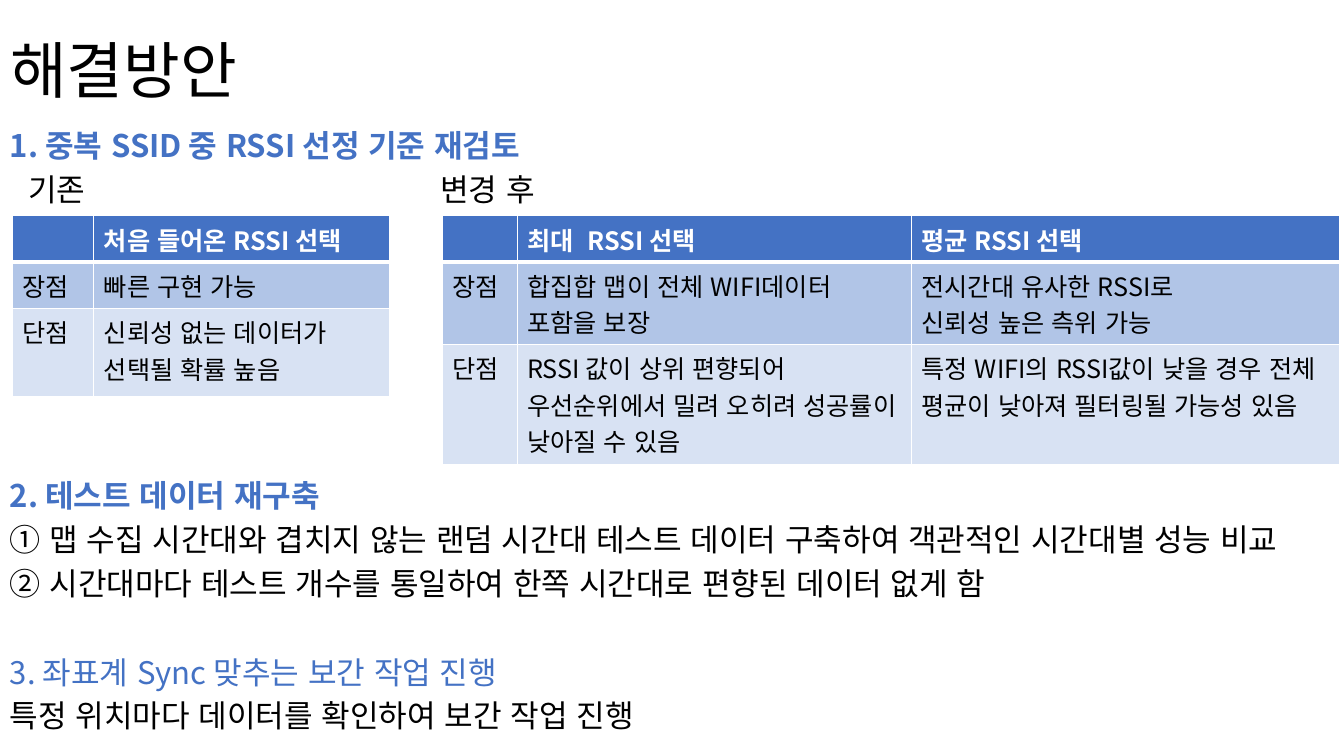
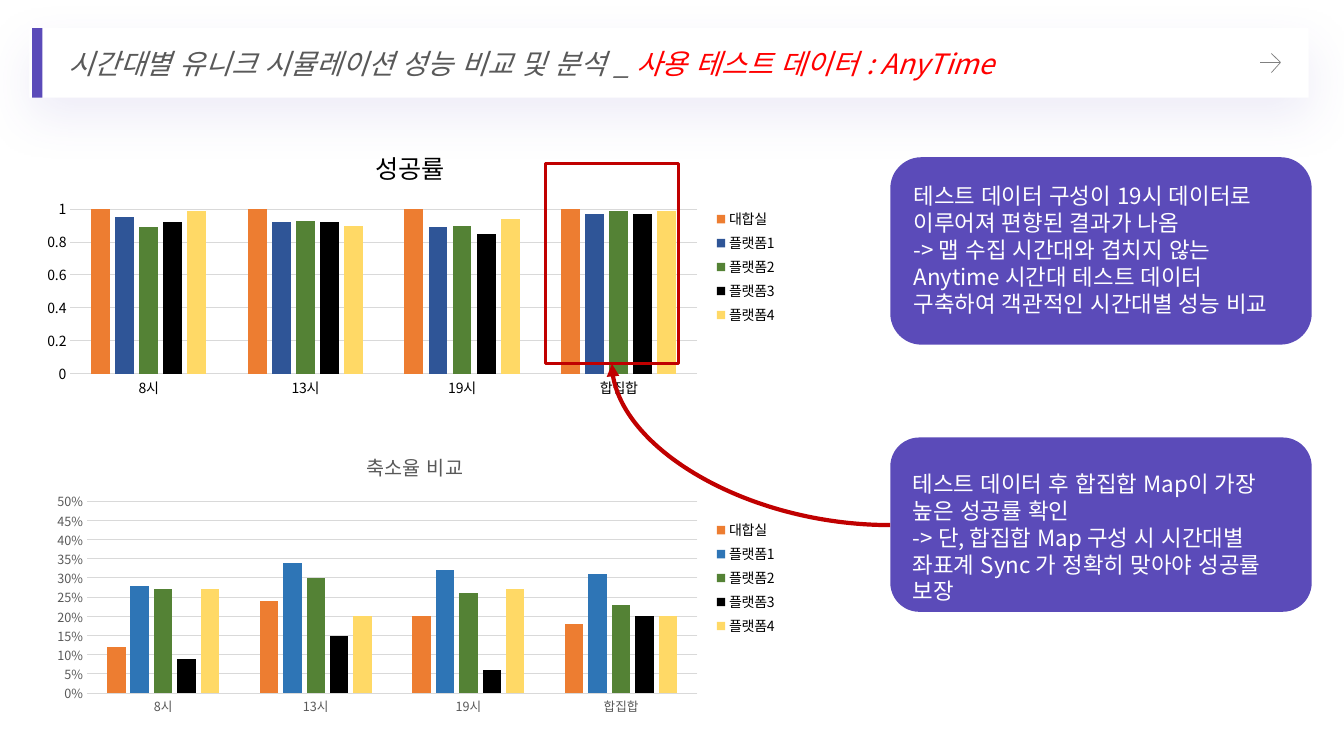
from lxml import etree
from pptx import Presentation
from pptx.chart.data import CategoryChartData
from pptx.dml.color import RGBColor
from pptx.enum.chart import XL_CHART_TYPE, XL_LEGEND_POSITION, XL_TICK_MARK
from pptx.enum.lang import MSO_LANGUAGE_ID
from pptx.enum.shapes import MSO_CONNECTOR, MSO_SHAPE
from pptx.enum.text import MSO_ANCHOR, MSO_AUTO_SIZE, PP_ALIGN
from pptx.oxml import parse_xml
from pptx.oxml.ns import nsdecls, qn
from pptx.util import Inches, Pt

FONT = "Noto Sans CJK KR"
HUE = {
    "black": "000000", "white": "FFFFFF", "blue": "4472C4",
    "mid": "B1C5E7", "pale": "D8E2F3", "violet": "5B4BB9",
    "grey": "595959", "arrow": "808080", "grid": "D9D9D9",
    "red": "FF0000", "mark": "C00000", "orange": "ED7D31",
    "navy": "2F5597", "sky": "2E75B6", "green": "548235", "gold": "FFD966",
}


def write(frame, text, size=18, color="black", bold=False, italic=False,
          space=1.0, gap=0, join=False):
    """Add a paragraph, or with join a run to the last one."""
    para = frame.paragraphs[-1]
    if para.runs and not join:
        para = frame.add_paragraph()
    para.alignment = PP_ALIGN.LEFT
    para.line_spacing = space
    para.space_before = Pt(gap)
    run = para.add_run()
    run.text = text
    font = run.font
    font.name, font.size, font.bold, font.italic = FONT, Pt(size), bold, italic
    font.language_id = MSO_LANGUAGE_ID.KOREAN
    font.color.rgb = RGBColor.from_string(HUE[color])


def paint(shape, fill=None, line=None, width=1):
    """Set fill and outline, and drop the shadow."""
    shape.shadow.inherit = False
    if fill:
        shape.fill.solid()
        shape.fill.fore_color.rgb = RGBColor.from_string(HUE[fill])
    else:
        shape.fill.background()
    if line:
        shape.line.color.rgb = RGBColor.from_string(HUE[line])
        shape.line.width = Pt(width)
    else:
        shape.line.fill.background()


deck = Presentation()
deck.slide_width, deck.slide_height = Inches(13.33), Inches(7.5)

# Both slides with their titles in place
slides = []
for left, top, wide, high in [(0, 0, 11.5, 1.45), (0.29, 0.28, 12.69, 0.69)]:
    slide = deck.slides.add_slide(deck.slide_layouts[5])
    title = slide.shapes.title
    title.left, title.top = Inches(left), Inches(top)
    title.width, title.height = Inches(wide), Inches(high)
    title.text_frame.auto_size = MSO_AUTO_SIZE.NONE
    title.text_frame.vertical_anchor = MSO_ANCHOR.MIDDLE
    slides.append(slide)

# Slide 1: title and text blocks
plan = slides[0].shapes
write(plan.title.text_frame, "해결방안", size=44, space=0.9)

blocks = [
    (0, 1.28, 13.33, "1. 중복 SSID 중 RSSI 선정 기준 재검토", "blue", True, []),
    (0.18, 1.71, 3, "기존", "black", False, []),
    (4.27, 1.71, 3, "변경 후", "black", False, []),
    (0, 4.75, 13.33, "2. 테스트 데이터 재구축", "blue", True, [
        "① 맵 수집 시간대와 겹치지 않는 랜덤 시간대 테스트 데이터 구축하여 객관적인 시간대별 성능 비교",
        "② 시간대마다 테스트 개수를 통일하여 한쪽 시간대로 편향된 데이터 없게 함"]),
    (0, 6.5, 13.33, "3. 좌표계 Sync 맞추는 보간 작업 진행", "blue", False, [
        "특정 위치마다 데이터를 확인하여 보간 작업 진행"]),
]
for left, top, wide, head, color, bold, lines in blocks:
    box = plan.add_textbox(Inches(left), Inches(top), Inches(wide),
                           Inches(0.45 + 0.43 * len(lines)))
    frame = box.text_frame
    frame.word_wrap = True
    write(frame, head, size=22.2, color=color, bold=bold, space=0.8)
    for line in lines:
        write(frame, line, size=22.2, space=0.8, gap=10)

# Slide 1: tables of pros and cons
tables = [
    (4.39, [0.74, 3.91, 4.25], [0.46, 0.82, 1.19], [
        ["", "최대  RSSI 선택", "평균 RSSI 선택"],
        ["장점", "합집합 맵이 전체 WIFI데이터 포함을 보장",
         "전시간대 유사한 RSSI로\n신뢰성 높은 측위 가능"],
        ["단점", "RSSI 값이 상위 편향되어\n우선순위에서 밀려 오히려 성공률이 낮아질 수 있음",
         "특정 WIFI의 RSSI값이 낮을 경우 전체 평균이 낮아져 필터링될 가능성 있음"]]),
    (0.12, [0.81, 2.93], [0.46, 0.46, 0.87], [
        ["", "처음 들어온 RSSI 선택"],
        ["장점", "빠른 구현 가능"],
        ["단점", "신뢰성 없는 데이터가 선택될 확률 높음"]]),
]
for left, cols, rows, data in tables:
    table = plan.add_table(len(rows), len(cols), Inches(left), Inches(2.14),
                           Inches(sum(cols)), Inches(sum(rows))).table
    for col, wide in zip(table.columns, cols):
        col.width = Inches(wide)
    for r, (high, texts) in enumerate(zip(rows, data)):
        table.rows[r].height = Inches(high)
        for c, text in enumerate(texts):
            cell = table.cell(r, c)
            props = cell._tc.get_or_add_tcPr()
            for side in "LRTB":
                thick = (side, r) in [("B", 0), ("T", 1)]
                edge = etree.SubElement(props, qn("a:ln" + side),
                                        w=str(Pt(3 if thick else 1)))
                fill = etree.SubElement(edge, qn("a:solidFill"))
                etree.SubElement(fill, qn("a:srgbClr"), val=HUE["white"])
            cell.fill.solid()
            cell.fill.fore_color.rgb = RGBColor.from_string(
                HUE[["blue", "mid", "pale"][r]])
            for line in text.split("\n"):
                if line:
                    write(cell.text_frame, line, bold=r == 0,
                          color="black" if r else "white")

# Slide 2: title bar with a soft shadow
study = slides[1].shapes
bar = study.title
paint(bar, "white")
glow = bar.element.spPr.find(qn("a:effectLst"))
glow.append(parse_xml(
    f'<a:outerShdw {nsdecls("a")} blurRad="{Pt(35)}" dist="{Pt(13)}" '
    f'dir="5400000" algn="t" rotWithShape="0"><a:srgbClr val="{HUE["violet"]}">'
    '<a:alpha val="10000"/></a:srgbClr></a:outerShdw>'))
bar.text_frame.margin_left = Inches(0.39)
write(bar.text_frame, "시간대별 유니크 시뮬레이션 성능 비교 및 분석 _ ",
      size=20, color="grey", italic=True)
write(bar.text_frame, "사용 테스트 데이터 : AnyTime",
      size=20, color="red", italic=True, join=True)
strip = study.add_shape(MSO_SHAPE.RECTANGLE, Inches(0.32), Inches(0.28),
                        Inches(0.1), Inches(0.69))
paint(strip, "violet")

# Slide 2: small arrow in the bar
pen = study.build_freeform(Inches(12.61), Inches(0.53))
pen.add_line_segments([(Inches(12.7), Inches(0.62)),
                       (Inches(12.61), Inches(0.72))], close=False)
paint(pen.convert_to_shape(), line="arrow", width=0.5)
shaft = study.add_connector(MSO_CONNECTOR.STRAIGHT, Inches(12.5), Inches(0.62),
                            Inches(12.7), Inches(0.62))

# Slide 2: column charts
names = ["대합실", "플랫폼1", "플랫폼2", "플랫폼3", "플랫폼4"]
charts = [
    ((0.32, 1.3, 7.49, 2.7), "성공률", 18, 10, "black", 1, 0.2, "General", "navy",
     [[87, 85, 94, 95], [0.95, 0.92, 0.89, 0.97], [0.89, 0.93, 0.9, 0.99],
      [0.92, 0.92, 0.85, 0.97], [0.99, 0.9, 0.94, 0.99]]),
    ((0.42, 4.32, 7.39, 2.83), "축소율 비교", 14, 9, "grey", 0.5, 0.05, "0%", "sky",
     [[0.12, 0.24, 0.2, 0.18], [0.28, 0.34, 0.32, 0.31], [0.27, 0.3, 0.26, 0.23],
      [0.09, 0.15, 0.06, 0.2], [0.27, 0.2, 0.27, 0.2]]),
]
roots = [slide.element for slide in slides]
for place, head, big, small, color, peak, step, form, second, rows in charts:
    data = CategoryChartData(number_format=form)
    data.categories = ["8시", "13시", "19시", "합집합"]
    for name, vals in zip(names, rows):
        data.add_series(name, vals)
    chart = study.add_chart(XL_CHART_TYPE.COLUMN_CLUSTERED,
                            *[Inches(n) for n in place], data).chart
    roots.append(chart.element)
    chart.font.name, chart.font.size = FONT, Pt(10)
    chart.font.color.rgb = RGBColor.from_string(HUE["black"])
    write(chart.chart_title.text_frame, head, size=big, color=color)
    chart.chart_title.include_in_layout = False
    chart.has_legend = True
    chart.legend.position = XL_LEGEND_POSITION.RIGHT
    chart.legend.include_in_layout = False

    plot = chart.plots[0]
    plot.gap_width, plot.overlap, plot.vary_by_categories = 219, -27, False
    for bars, hue in zip(plot.series, ["orange", second, "green", "black", "gold"]):
        bars.format.fill.solid()
        bars.format.fill.fore_color.rgb = RGBColor.from_string(HUE[hue])

    cat, val = chart.category_axis, chart.value_axis
    for axis in (cat, val):
        axis.major_tick_mark = axis.minor_tick_mark = XL_TICK_MARK.NONE
        font = axis.tick_labels.font
        font.name, font.size = FONT, Pt(small)
        font.color.rgb = RGBColor.from_string(HUE[color])
    val.minimum_scale, val.maximum_scale, val.major_unit = 0, peak, step
    val.tick_labels.number_format = form
    val.tick_labels.number_format_is_linked = False
    val.format.line.fill.background()
    for line in (cat.format.line, val.major_gridlines.format.line):
        line.color.rgb = RGBColor.from_string(HUE["grid"])
        line.width = Pt(0.75)

# Slide 2: note cards
cards = [
    (1.56, 1.86, 0.16, 0.2, [
        "테스트 데이터 구성이 19시 데이터로 이루어져 편향된 결과가 나옴",
        "-> 맵 수집 시간대와 겹치지 않는 Anytime 시간대 테스트 데이터 구축하여 객관적인 시간대별 성능 비교"]),
    (4.34, 1.73, 0.24, 0.15, [
        "테스트 데이터 후 합집합 Map이 가장 높은 성공률 확인",
        "-> 단, 합집합 Map 구성 시 시간대별 좌표계 Sync 가 정확히 맞아야 성공률 보장"]),
]
for top, high, above, right, lines in cards:
    card = study.add_shape(MSO_SHAPE.ROUNDED_RECTANGLE, Inches(8.83), Inches(top),
                           Inches(4.18), Inches(high))
    paint(card, "violet")
    frame = card.text_frame
    frame.word_wrap = True
    frame.vertical_anchor = MSO_ANCHOR.TOP
    frame.margin_left, frame.margin_right = Inches(0.14), Inches(right)
    frame.margin_top, frame.margin_bottom = Inches(above), 0
    for line in lines:
        write(frame, line, size=16, color="white")

# Slide 2: curved arrow to the marked columns
curve = study.add_connector(MSO_CONNECTOR.CURVE, Inches(8.83), Inches(5.21),
                            Inches(6.07), Inches(3.61))
curve.element.spPr.find(qn("a:prstGeom")).set("prst", "curvedConnector2")
for link, hue, width in [(shaft, "arrow", 0.5), (curve, "mark", 3)]:
    link.line.color.rgb = RGBColor.from_string(HUE[hue])
    link.line.width = Pt(width)
    etree.SubElement(link.element.spPr, qn("a:effectLst"))
etree.SubElement(curve.line._get_or_add_ln(), qn("a:tailEnd"), type="triangle")
mark = study.add_shape(MSO_SHAPE.RECTANGLE, Inches(5.41), Inches(1.62),
                       Inches(1.32), Inches(1.99))
paint(mark, line="mark", width=2.25)

# Use the same font for Korean letters
for root in roots:
    for latin in list(root.iter(qn("a:latin"))):
        east = etree.Element(qn("a:ea"), typeface=FONT)
        latin.addnext(east)

deck.save("out.pptx")
